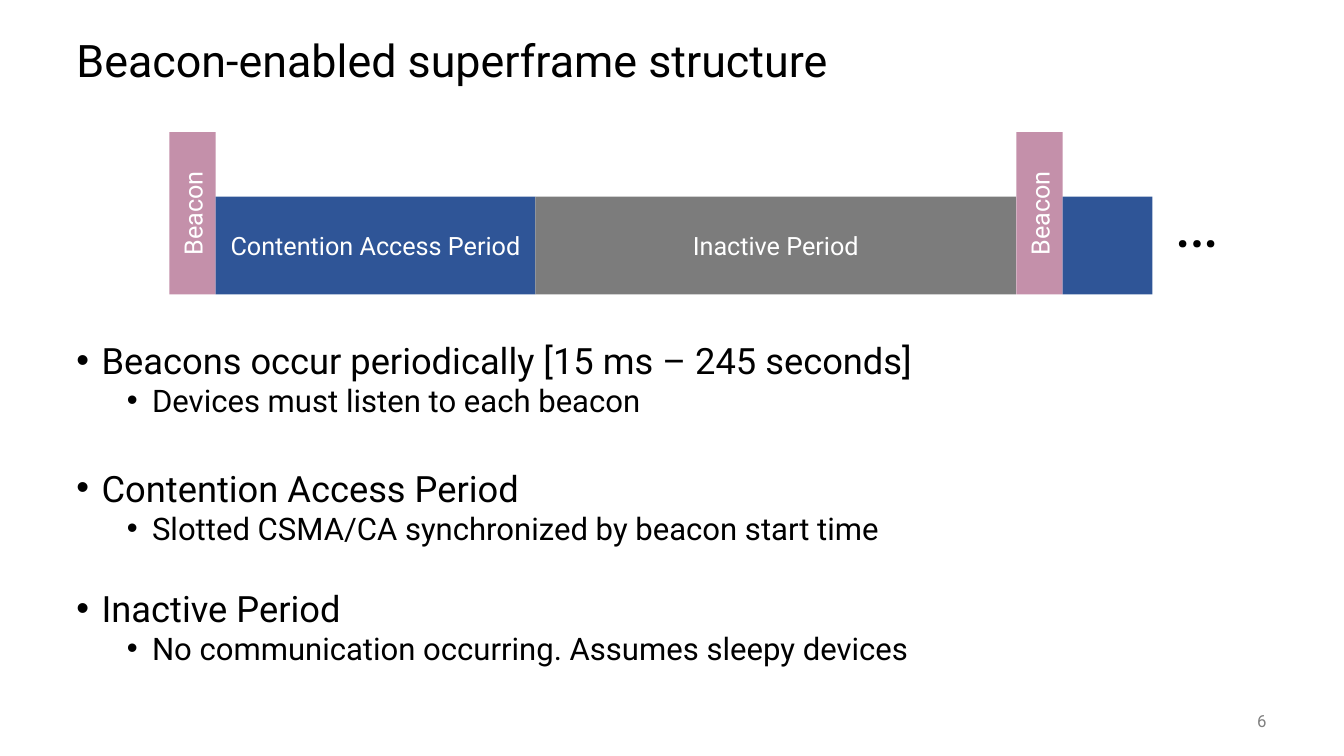
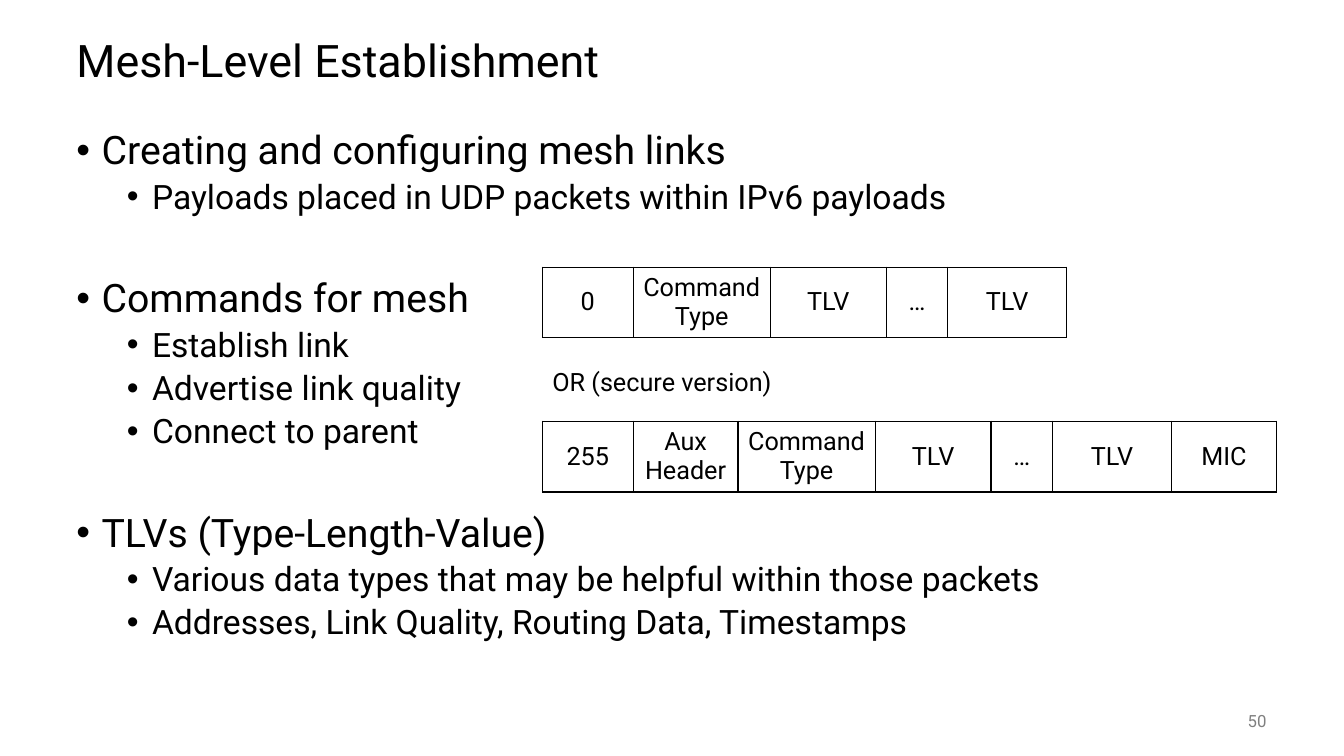
"""Build two lecture slides on superframe structure and mesh link establishment."""
import lxml.etree
import pptx
import pptx.dml.color
import pptx.enum.shapes
import pptx.enum.text
import pptx.oxml.ns
import pptx.util

Inches = pptx.util.Inches
Pt = pptx.util.Pt
ALIGN = pptx.enum.text.PP_ALIGN
ANCHOR = pptx.enum.text.MSO_ANCHOR

WIDTH, HEIGHT = 13.33, 7.5
MARGIN, CONTENT_WIDTH = 0.66, 12
CONTENT_BOTTOM = 6.75
FONT = "Roboto"
BLACK, WHITE, GREY = "000000", "FFFFFF", "808080"
BLUE, PINK, SLATE = "2F5597", "C490AA", "7C7C7C"

SUPERFRAME = {
    "title": "Beacon-enabled superframe structure",
    "number": "6",
    "top": 3.39,
    "sizes": (25.9, 22.2),
    "spacing": 0.8,
    "topics": [
        (0, "Beacons occur periodically [15 ms – 245 seconds]",
         ["Devices must listen to each beacon"]),
        (40, "Contention Access Period",
         ["Slotted CSMA/CA synchronized by beacon start time"]),
        (35, "Inactive Period",
         ["No communication occurring. Assumes sleepy devices"]),
    ],
}
MESH = {
    "title": "Mesh-Level Establishment",
    "number": "50",
    "top": 1.25,
    "sizes": (28, 24),
    "spacing": 0.9,
    "topics": [
        (0, "Creating and configuring mesh links",
         ["Payloads placed in UDP packets within IPv6 payloads"]),
        (44.5, "Commands for mesh",
         ["Establish link", "Advertise link quality", "Connect to parent"]),
        (44.5, "TLVs (Type-Length-Value)",
         ["Various data types that may be helpful within those packets",
          "Addresses, Link Quality, Routing Data, Timestamps"]),
    ],
}

BEACON = ("Beacon", 0.46, 1.61, PINK)
PERIODS = [
    BEACON,
    ("Contention Access Period", 3.17, 0.97, BLUE),
    ("Inactive Period", 4.77, 0.97, SLATE),
    BEACON,
    ("", 0.89, 0.97, BLUE),
]
TIMELINE_LEFT, TIMELINE_BOTTOM = 1.68, 2.92

PACKET_LEFT, PACKET_HEIGHT = 5.38, 0.7
COMMAND_FIELDS = [("Command Type", 1.36), ("TLV", 1.15), ("…", 0.61), ("TLV", 1.18)]
PACKETS = [
    (2.65, [("0", 0.9)] + COMMAND_FIELDS),
    (4.18, [("255", 0.9), ("Aux Header", 1.04)] + COMMAND_FIELDS + [("MIC", 1.04)]),
]


def color(value):
    return pptx.dml.color.RGBColor.from_string(value)


def add_xml(parent, tag, **attributes):
    return lxml.etree.SubElement(parent, pptx.oxml.ns.qn(tag), attributes)


def write(paragraph, text, size=18, ink=BLACK, align=ALIGN.LEFT,
          spacing=1.0, before=0, level=None):
    if level is not None:
        paragraph.level = level
        properties = paragraph._p.get_or_add_pPr()
        properties.set("marL", str(Inches(0.25 + 0.5 * level)))
        properties.set("indent", str(Inches(-0.25)))
        add_xml(properties, "a:buFont", typeface="Arial")
        add_xml(properties, "a:buChar", char="•")
    paragraph.alignment = align
    paragraph.line_spacing = spacing
    paragraph.space_before = Pt(before)
    run = paragraph.add_run()
    run.text = text
    run.font.name = FONT
    run.font.size = Pt(size)
    run.font.color.rgb = color(ink)


def add_frame(slide, left, top, width, height, anchor=ANCHOR.MIDDLE):
    frame = slide.shapes.add_textbox(*map(Inches, (left, top, width, height))).text_frame
    frame.word_wrap = True
    frame.vertical_anchor = anchor
    return frame


def add_label(slide, place, text, **style):
    write(add_frame(slide, *place).paragraphs[0], text, **style)


def add_topics(slide, content):
    top = content["top"]
    frame = add_frame(slide, MARGIN, top, CONTENT_WIDTH, CONTENT_BOTTOM - top, ANCHOR.TOP)
    lines = []
    for gap, heading, details in content["topics"]:
        lines.append((0, gap, heading))
        lines += [(1, 5, detail) for detail in details]
    for index, (level, before, text) in enumerate(lines):
        paragraph = frame.add_paragraph() if index else frame.paragraphs[0]
        write(paragraph, text, size=content["sizes"][level],
              spacing=content["spacing"], before=before, level=level)


def add_slide(deck, content):
    slide = deck.slides.add_slide(deck.slide_layouts[6])
    add_label(slide, (MARGIN, 0.25, CONTENT_WIDTH, 0.75), content["title"],
              size=32, spacing=0.9)
    add_topics(slide, content)
    add_label(slide, (MARGIN + CONTENT_WIDTH - 1, 6.95, 1, 0.4), content["number"],
              size=12, ink=GREY, align=ALIGN.RIGHT)
    return slide


def add_timeline(slide):
    left = TIMELINE_LEFT
    for name, width, height, fill in PERIODS:
        period = slide.shapes.add_shape(
            pptx.enum.shapes.MSO_SHAPE.RECTANGLE,
            *map(Inches, (left, TIMELINE_BOTTOM - height, width, height)))
        period.shadow.inherit = False
        period.fill.solid()
        period.fill.fore_color.rgb = color(fill)
        period.line.fill.background()
        frame = period.text_frame
        frame.word_wrap = True
        frame.vertical_anchor = ANCHOR.MIDDLE
        if name:
            write(frame.paragraphs[0], name, ink=WHITE, align=ALIGN.CENTER)
        if height > width:
            frame._txBody.bodyPr.set("vert", "vert270")
        left += width
    add_label(slide, (left + 0.12, 1.73, 1.03, 0.91), "…", size=48)


def add_packet(slide, top, fields):
    total = sum(width for _, width in fields)
    packet = slide.shapes.add_table(
        1, len(fields), *map(Inches, (PACKET_LEFT, top, total, PACKET_HEIGHT))).table
    packet.first_row = packet.horz_banding = False
    for index, (name, width) in enumerate(fields):
        packet.columns[index].width = Inches(width)
        cell = packet.cell(0, index)
        cell.vertical_anchor = ANCHOR.MIDDLE
        write(cell.text_frame.paragraphs[0], name, align=ALIGN.CENTER)
        properties = cell._tc.get_or_add_tcPr()
        for side in ("a:lnL", "a:lnR", "a:lnT", "a:lnB"):
            border = add_xml(properties, side, w=str(Pt(1)))
            add_xml(add_xml(border, "a:solidFill"), "a:srgbClr", val=BLACK)
        cell.fill.background()


def main():
    deck = pptx.Presentation()
    deck.slide_width, deck.slide_height = Inches(WIDTH), Inches(HEIGHT)
    add_timeline(add_slide(deck, SUPERFRAME))
    mesh = add_slide(deck, MESH)
    for top, fields in PACKETS:
        add_packet(mesh, top, fields)
    add_label(mesh, (PACKET_LEFT, 3.58, 2.4, 0.4), "OR (secure version)")
    deck.save("out.pptx")


if __name__ == "__main__":
    main()
